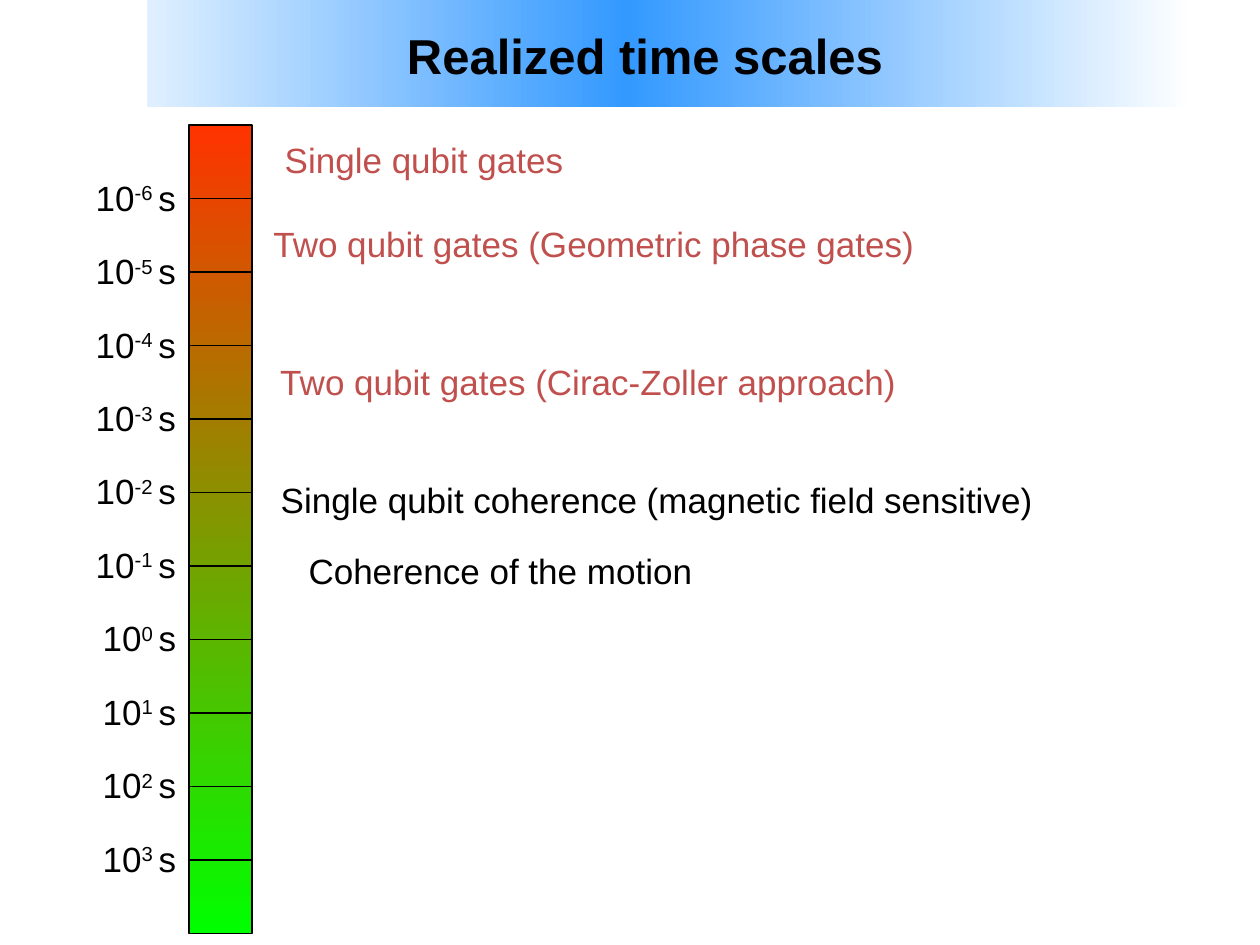
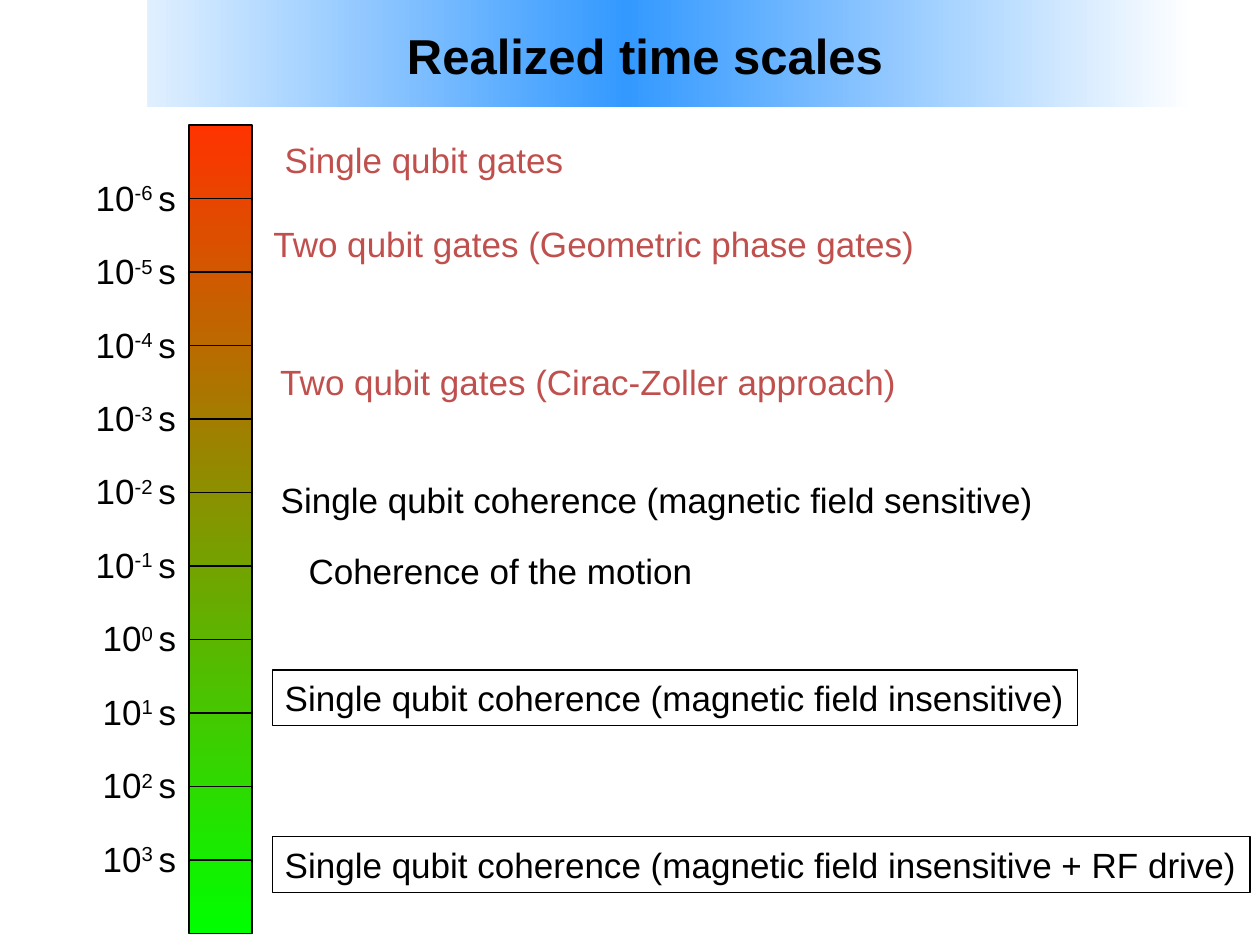
import pptx
import pptx.dml.color
import pptx.enum.shapes
import pptx.enum.text
import pptx.oxml.ns
import pptx.util
from lxml import etree

Cm = pptx.util.Cm
RECTANGLE = pptx.enum.shapes.MSO_SHAPE.RECTANGLE

FONT = "Arial"
BLACK, WHITE, BLUE = "000000", "FFFFFF", "3399FF"
GATE_RED = "C0504D"
FAST_RED, SLOW_GREEN = "FF3300", "00FF00"

SCALE_LEFT, SCALE_TOP, SCALE_WIDTH, SCALE_HEIGHT = 3.81, 2.52, 1.27, 16.3
EXPONENTS = range(-6, 4)
DECADE = SCALE_HEIGHT / (len(EXPONENTS) + 1)
FIRST_EXPONENT_TOP, EXPONENT_STEP = 3.43, 1.48
EXPONENT_WIDTH = 2.3
LABEL_HEIGHT = 1.12
BAND_TOP, BAND_HEIGHT = -0.08, 2.24

PROCESSES = [
    (5.49, 2.67, 6.2, "Single qubit gates", GATE_RED),
    (5.26, 4.37, 16.18, "Two qubit gates (Geometric phase gates)", GATE_RED),
    (5.4, 7.14, 13.1, "Two qubit gates (Cirac-Zoller approach)", GATE_RED),
    (5.41, 9.53, 15.8, "Single qubit coherence (magnetic field sensitive)", BLACK),
    (5.97, 10.95, 8.4, "Coherence of the motion", BLACK),
]
LONG_COHERENCE = [
    (5.49, 13.51, 16.23, "Single qubit coherence (magnetic field insensitive)"),
    (5.49, 16.87, 19.71, "Single qubit coherence (magnetic field insensitive + RF drive)"),
]


def rgb(color):
    return pptx.dml.color.RGBColor.from_string(color)


def add_run(paragraph, text, color=BLACK, size=20, bold=False, superscript=False):
    run = paragraph.add_run()
    run.text = text
    run.font.name = FONT
    run.font.size = pptx.util.Pt(size)
    run.font.bold = bold
    run.font.color.rgb = rgb(color)
    if superscript:
        run.font._element.set("baseline", "30000")


def first_line(holder, wrap=True):
    frame = holder.text_frame
    frame.word_wrap = wrap
    frame.vertical_anchor = pptx.enum.text.MSO_ANCHOR.TOP
    frame.paragraphs[0].alignment = pptx.enum.text.PP_ALIGN.LEFT
    return frame.paragraphs[0]


def draw_outline(line):
    line.color.rgb = rgb(BLACK)
    line.width = pptx.util.Pt(0.75)


def add_rectangle(shapes, left, top, width, height, outlined=False):
    rectangle = shapes.add_shape(RECTANGLE, Cm(left), Cm(top), Cm(width), Cm(height))
    rectangle.shadow.inherit = False
    if outlined:
        draw_outline(rectangle.line)
    else:
        rectangle.line.fill.background()
    return rectangle


def fill_gradient(rectangle, colors, angle):
    rectangle.fill.gradient()
    rectangle.fill.gradient_angle = angle
    qn = pptx.oxml.ns.qn
    stops = rectangle._element.spPr.find(".//" + qn("a:gsLst"))
    for stop in list(stops):
        stops.remove(stop)
    for index, color in enumerate(colors):
        position = 100000 * index // (len(colors) - 1)
        stop = etree.SubElement(stops, qn("a:gs"), pos=str(position))
        etree.SubElement(stop, qn("a:srgbClr"), val=color)


def add_title_band(slide, text):
    band = slide.shapes.add_group_shape().shapes
    for left, width, colors in [
        (22.61, 2.79, [WHITE]),
        (1.22, 22.83, [WHITE, BLUE, WHITE]),
        (0, 2.97, [WHITE]),
    ]:
        part = add_rectangle(band, left, BAND_TOP, width, BAND_HEIGHT)
        if len(colors) > 1:
            fill_gradient(part, colors, 0)
        else:
            part.fill.solid()
            part.fill.fore_color.rgb = rgb(colors[0])
    title = slide.shapes.title
    title.left, title.top, title.width, title.height = Cm(7.95), Cm(0.38), Cm(10.5), Cm(1.45)
    add_run(first_line(title), text, size=28, bold=True)
    title.element.getparent().append(title.element)


def add_label(slide, left, top, width):
    label = slide.shapes.add_textbox(Cm(left), Cm(top), Cm(width), Cm(LABEL_HEIGHT))
    return first_line(label)


def add_tick(slide, y):
    tick = slide.shapes.add_connector(
        pptx.enum.shapes.MSO_CONNECTOR.STRAIGHT,
        Cm(SCALE_LEFT), Cm(y), Cm(SCALE_LEFT + SCALE_WIDTH), Cm(y),
    )
    draw_outline(tick.line)
    etree.SubElement(tick._element.spPr, pptx.oxml.ns.qn("a:effectLst"))


def add_time_scale(slide):
    scale = add_rectangle(
        slide.shapes, SCALE_LEFT, SCALE_TOP, SCALE_WIDTH, SCALE_HEIGHT, outlined=True
    )
    fill_gradient(scale, [FAST_RED, SLOW_GREEN], 270)
    for index, exponent in enumerate(EXPONENTS):
        add_tick(slide, SCALE_TOP + (index + 1) * DECADE)
        left = 1.68 if exponent < 0 else 1.82
        top = FIRST_EXPONENT_TOP + index * EXPONENT_STEP
        power = add_label(slide, left, top, EXPONENT_WIDTH)
        add_run(power, "10")
        add_run(power, f"{exponent} ", superscript=True)
        add_run(power, "s")


def add_boxed_process(slide, left, top, width, text):
    box = add_rectangle(slide.shapes, left, top, width, LABEL_HEIGHT, outlined=True)
    box.fill.background()
    add_run(first_line(box, wrap=False), text)


def add_time_scale_slide(deck, boxed_processes):
    slide = deck.slides.add_slide(deck.slide_layouts.get_by_name("Title Only"))
    add_time_scale(slide)
    for left, top, width, text, color in PROCESSES:
        add_run(add_label(slide, left, top, width), text, color)
    add_title_band(slide, "Realized time scales")
    for process in boxed_processes:
        add_boxed_process(slide, *process)


def main():
    deck = pptx.Presentation()
    deck.slide_width, deck.slide_height = Cm(25.4), Cm(19.05)
    add_time_scale_slide(deck, [])
    add_time_scale_slide(deck, LONG_COHERENCE)
    deck.save("out.pptx")


if __name__ == "__main__":
    main()
